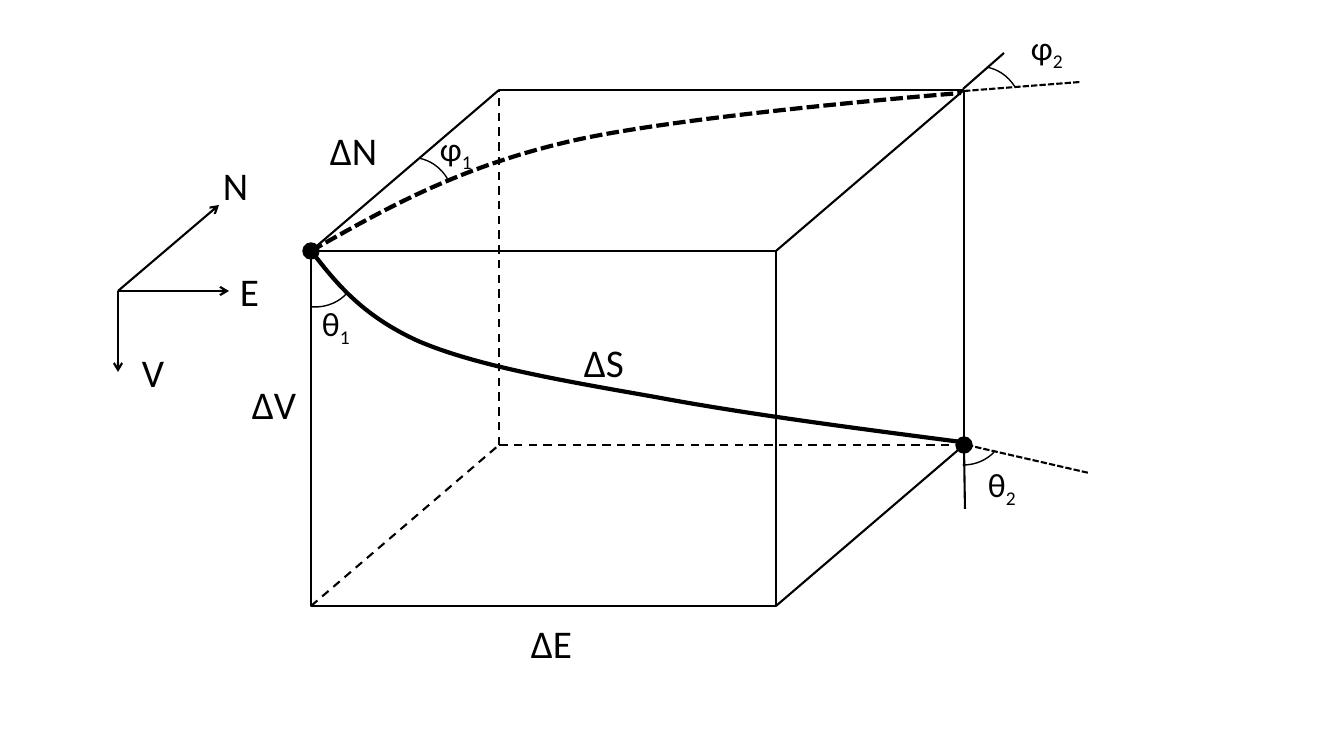
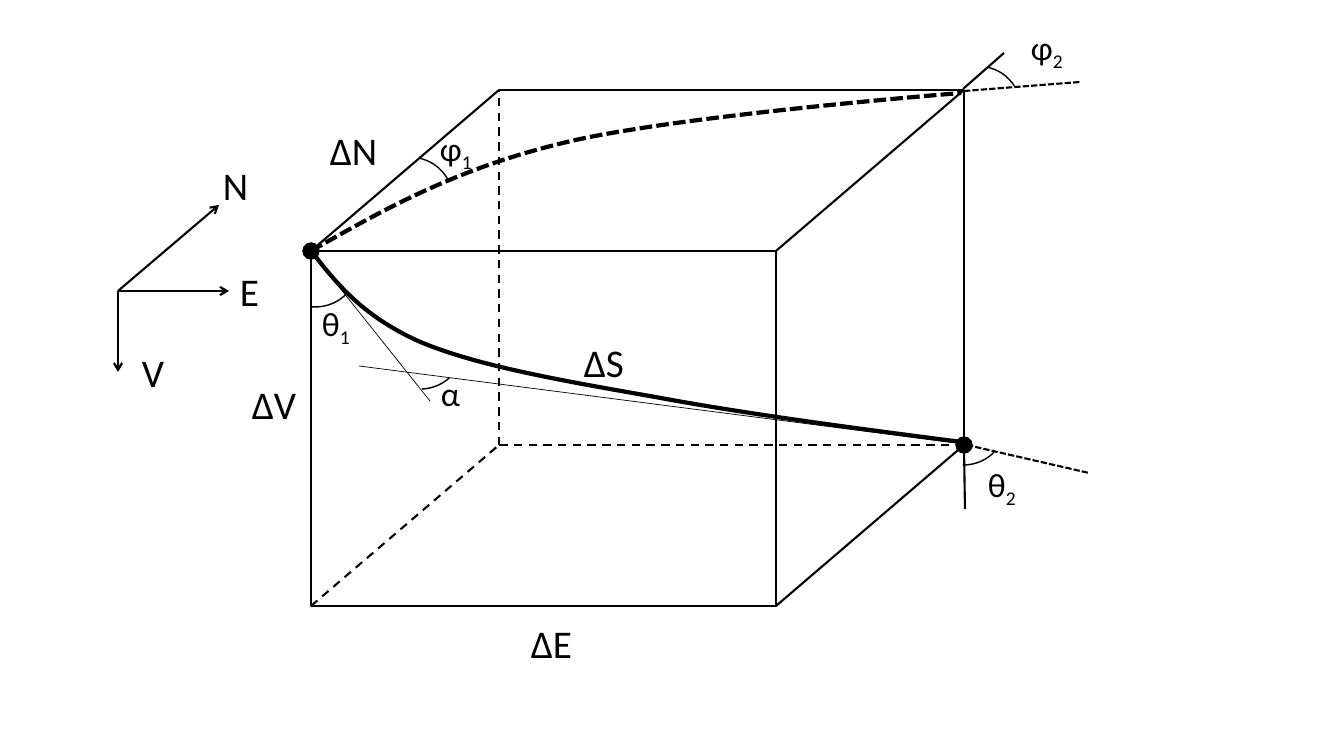
import pptx
import pptx.util
import pptx.dml.color
import pptx.enum.dml
import pptx.enum.shapes
import pptx.enum.text
import pptx.oxml.ns
from lxml import etree

SCALE = 12192000 / 1344
BLACK = pptx.dml.color.RGBColor(0, 0, 0)
FONT = "Calibri"
DASH = pptx.enum.dml.MSO_LINE.DASH
FINE_DASH = pptx.enum.dml.MSO_LINE.SQUARE_DOT
SHAPES = pptx.enum.shapes.MSO_SHAPE
qn = pptx.oxml.ns.qn


def px(*lengths):
    return [round(length * SCALE) for length in lengths]


def outline(item, width, dash=None):
    item.line.color.rgb = BLACK
    item.line.width = pptx.util.Pt(width)
    if dash:
        item.line.dash_style = dash


LEFT, TOP, WIDTH, HEIGHT = 311, 251, 465, 355
RIGHT, BOTTOM = LEFT + WIDTH, TOP + HEIGHT
DEPTH_X, DEPTH_Y = 188, -161
BACK_LEFT, BACK_RIGHT = LEFT + DEPTH_X, RIGHT + DEPTH_X
BACK_TOP, BACK_BOTTOM = TOP + DEPTH_Y, BOTTOM + DEPTH_Y
AXIS_X, AXIS_Y = 118, 291
DOT = 16

# start x, start y, end x, end y, width, dash, arrow
lines = [
    (LEFT, TOP, BACK_LEFT, BACK_TOP, 1.5, None, False),
    (RIGHT, TOP, BACK_RIGHT, BACK_TOP, 1.5, None, False),
    (RIGHT, BOTTOM, BACK_RIGHT, BACK_BOTTOM, 1.5, None, False),
    (LEFT, BOTTOM, BACK_LEFT, BACK_BOTTOM, 1.5, DASH, False),
    (BACK_RIGHT, BACK_TOP, BACK_LEFT, BACK_TOP, 1.5, None, False),
    (BACK_RIGHT, BACK_BOTTOM, BACK_RIGHT, BACK_TOP, 1.5, None, False),
    (BACK_LEFT, BACK_BOTTOM, BACK_LEFT, BACK_TOP, 1.5, DASH, False),
    (BACK_RIGHT, BACK_BOTTOM, BACK_LEFT, BACK_BOTTOM, 1.5, DASH, False),
    (AXIS_X, AXIS_Y, 229, AXIS_Y, 1.5, None, True),
    (AXIS_X, AXIS_Y, 219, 205, 1.5, None, True),
    (AXIS_X, AXIS_Y, AXIS_X, 372, 1.5, None, True),
    (963, 89, 1004, 53, 1.5, None, False),
    (BACK_RIGHT, 91, 1080, 82, 1.5, FINE_DASH, False),
    (BACK_RIGHT, 446, 965, 509, 1.5, None, False),
    (967, 445, 1089, 473, 1.5, FINE_DASH, False),
]
tangents = [
    (308, 248, 430, 401, 0.5, None, False),
    (359, 366, 972, 445, 0.5, None, False),
]
curves = [
    ([(311, 251), (383, 210), (455, 169), (563, 143),
      (671, 116), (961, 93), (961, 93)], FINE_DASH),
    ([(309, 248), (335, 282), (361, 315), (418, 341), (476, 366), (564, 381),
      (655, 397), (746, 414), (853, 428), (961, 442)], None),
]
arcs = [
    (275, 225, 94.2, 184.225, 0),
    (373, 157, 332.1, 184.225, 0),
    (941, 66, 332.1, 184.225, 213.819),
    (923, 383, 94, 184.225, 213.819),
]
bend_arc = (380, 307, 94.2, 186.211, 211.865)
labels = [
    ("ΔE", "", 521, 614, 62, 28),
    ("ΔV", "", 242, 375, 66, 28),
    ("ΔN", "", 320, 121, 69, 28),
    ("N", "", 213, 156, 46, 28),
    ("E", "", 230, 262, 39, 28),
    ("V", "", 132, 343, 42, 28),
    ("ΔS", "", 574, 333, 60, 28),
    ("φ", "1", 430, 123, 54, 24),
    ("θ", "1", 312, 298, 49, 24),
    ("φ", "2", 1021, 22, 54, 24),
    ("θ", "2", 978, 459, 49, 24),
]
bend_label = ("α", "", 431, 368, 39, 24)

deck = pptx.Presentation()
deck.slide_width, deck.slide_height = px(1344, 756)

for show_bend in (False, True):
    page = deck.slides.add_slide(deck.slide_layouts[6])

    front = page.shapes.add_shape(SHAPES.RECTANGLE, *px(LEFT, TOP, WIDTH, HEIGHT))
    front.shadow.inherit = False
    front.fill.background()
    outline(front, 1.5)

    for x1, y1, x2, y2, width, dash, arrow in lines + tangents * show_bend:
        line = page.shapes.add_connector(
            pptx.enum.shapes.MSO_CONNECTOR.STRAIGHT, *px(x1, y1, x2, y2))
        outline(line, width, dash)
        properties = line.element.spPr
        if arrow:
            etree.SubElement(properties.find(qn("a:ln")), qn("a:tailEnd"), type="arrow")
        etree.SubElement(properties, qn("a:effectLst"))

    for x, y in ((LEFT, TOP), (BACK_RIGHT, BACK_BOTTOM)):
        station = page.shapes.add_shape(
            SHAPES.OVAL, *px(x - DOT / 2, y - DOT / 2, DOT, DOT))
        station.shadow.inherit = False
        station.fill.solid()
        station.fill.fore_color.rgb = BLACK
        outline(station, 1)

    for points, dash in curves:
        builder = page.shapes.build_freeform(*px(*points[0]), scale=1.0)
        builder.add_line_segments([px(*point) for point in points[1:]], close=False)
        curve = builder.convert_to_shape()
        segments = list(curve.element.iter(qn("a:lnTo")))
        for first in range(0, len(segments), 3):
            bezier = etree.SubElement(segments[first].getparent(), qn("a:cubicBezTo"))
            for segment in segments[first:first + 3]:
                bezier.append(segment[0])
                segment.getparent().remove(segment)
        curve.shadow.inherit = False
        curve.fill.background()
        outline(curve, 3, dash)

    for x, y, rotation, start, end in arcs + [bend_arc] * show_bend:
        arc = page.shapes.add_shape(SHAPES.ARC, *px(x, y, 80, 84))
        arc.rotation = rotation
        arc.adjustments[0] = start
        arc.adjustments[1] = end
        arc.shadow.inherit = False
        arc.fill.background()
        outline(arc, 1)

    for symbol, index, x, y, width, size in labels + [bend_label] * show_bend:
        box = page.shapes.add_textbox(*px(x, y, width, 57 if size == 28 else 50))
        box.text_frame.word_wrap = False
        box.text_frame.auto_size = pptx.enum.text.MSO_AUTO_SIZE.SHAPE_TO_FIT_TEXT
        para = box.text_frame.paragraphs[0]
        for text in filter(None, (symbol, index)):
            span = para.add_run()
            span.text = text
            span.font.name = FONT
            span.font.size = pptx.util.Pt(size)
            span.font.color.rgb = BLACK
        if index:
            span.font._element.set("baseline", "-25000")

deck.save("out.pptx")
